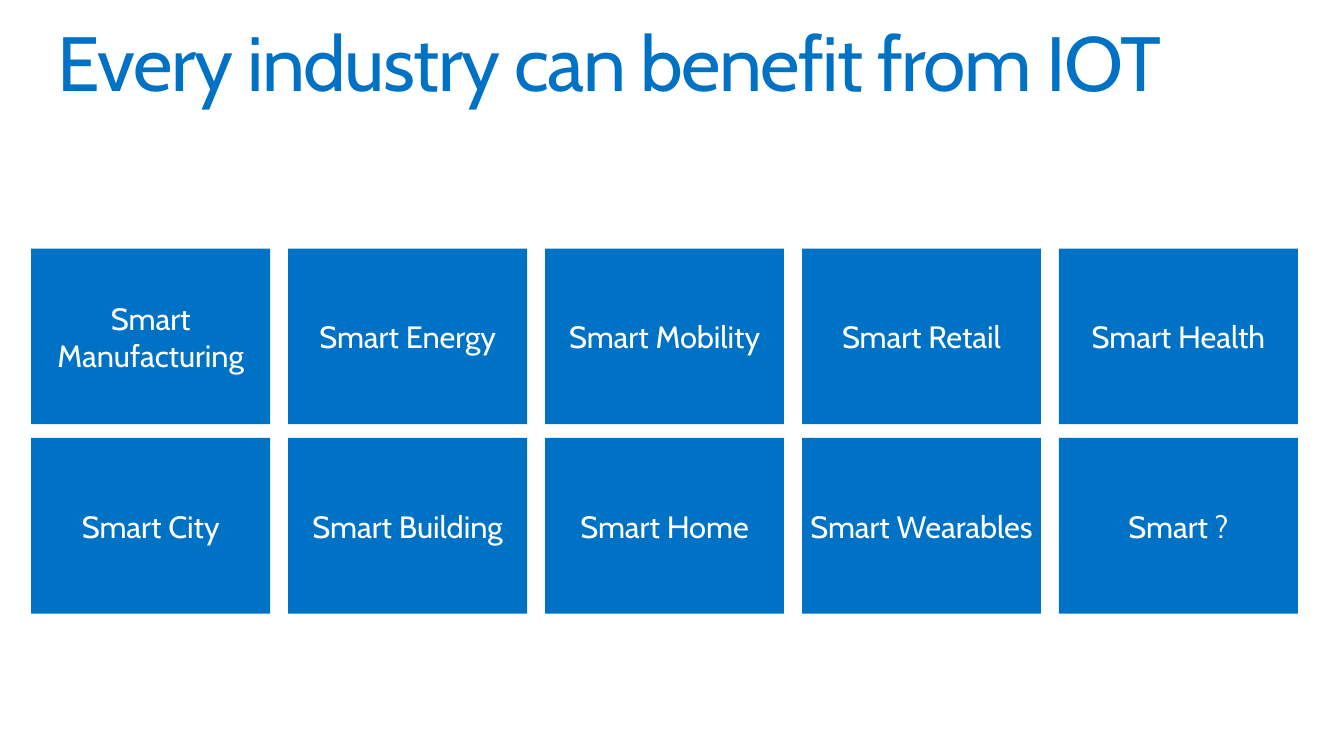
from pptx import Presentation
from pptx.dml.color import RGBColor
from pptx.enum.shapes import MSO_SHAPE
from pptx.enum.text import MSO_ANCHOR, PP_ALIGN
from pptx.util import Cm, Pt

COLOURS = {"blue": "0072C6", "white": "FFFFFF"}
FONT = "Cabin"
INDUSTRIES = [
    ["Smart Manufacturing", "Smart Energy", "Smart Mobility", "Smart Retail", "Smart Health"],
    ["Smart City", "Smart Building", "Smart Home", "Smart Wearables", "Smart ?"],
]


def colour(name):
    return RGBColor.from_string(COLOURS[name])


def set_margins(text_frame, margin):
    text_frame.margin_left = text_frame.margin_right = Cm(margin)
    text_frame.margin_top = text_frame.margin_bottom = Cm(margin)


def add_run(paragraph, text, size, colour_name):
    run = paragraph.add_run()
    run.text = text
    run.font.name = FONT
    run.font.size = Pt(size)
    run.font.color.rgb = colour(colour_name)
    return run


def add_title(slide, text, left, top, width, height):
    shape = slide.shapes.add_textbox(Cm(left), Cm(top), Cm(width), Cm(height))
    text_frame = shape.text_frame
    text_frame.word_wrap = True
    set_margins(text_frame, 0)
    paragraph = text_frame.paragraphs[0]
    paragraph.line_spacing = 0.9
    run = add_run(paragraph, text, 41.2, "blue")
    run.font._element.set("spc", "-80")


def add_tile(slide, text, left, top, width, height):
    shape = slide.shapes.add_shape(
        MSO_SHAPE.RECTANGLE, Cm(left), Cm(top), Cm(width), Cm(height)
    )
    shape.shadow.inherit = False
    shape.fill.solid()
    shape.fill.fore_color.rgb = colour("blue")
    shape.line.fill.background()
    text_frame = shape.text_frame
    text_frame.word_wrap = True
    text_frame.vertical_anchor = MSO_ANCHOR.MIDDLE
    set_margins(text_frame, 0.1)
    paragraph = text_frame.paragraphs[0]
    paragraph.alignment = PP_ALIGN.CENTER
    add_run(paragraph, text, 16.5, "white")


def add_industry_grid(slide, rows, left, top, width, height, column_gap=0.34, row_gap=0.26):
    column_count = len(rows[0])
    tile_width = (width - column_gap * (column_count - 1)) / column_count
    tile_height = (height - row_gap * (len(rows) - 1)) / len(rows)
    for row_index, row in enumerate(rows):
        for column_index, industry in enumerate(row):
            add_tile(
                slide,
                industry,
                left + column_index * (tile_width + column_gap),
                top + row_index * (tile_height + row_gap),
                tile_width,
                tile_height,
            )


def main():
    presentation = Presentation()
    presentation.slide_width = Cm(25.4)
    presentation.slide_height = Cm(14.29)
    slide = presentation.slides.add_slide(presentation.slide_layouts[6])
    add_title(slide, "Every industry can benefit from IOT", 1.09, 0.48, 23.24, 1.55)
    add_industry_grid(slide, INDUSTRIES, 0.59, 4.7, 23.94, 6.9)
    presentation.save("out.pptx")


if __name__ == "__main__":
    main()
